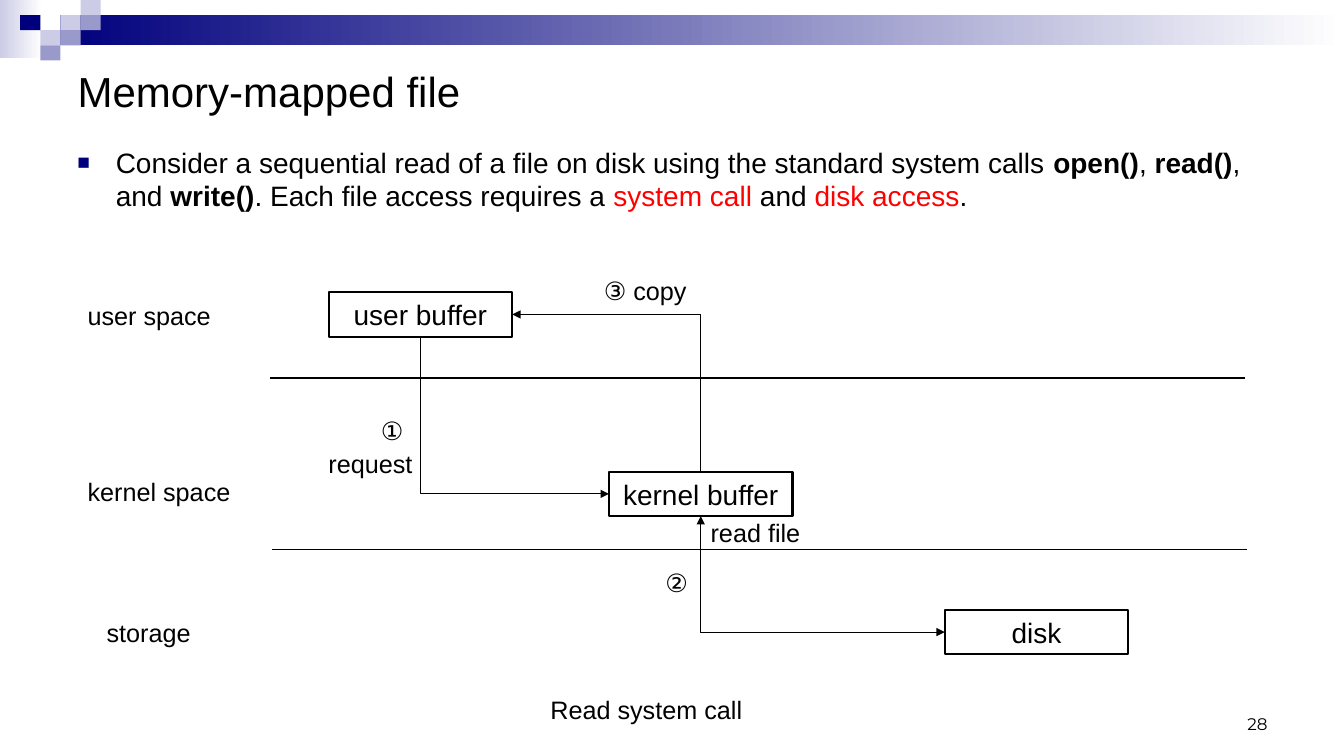
from lxml import etree
from pptx import Presentation
from pptx.dml.color import RGBColor
from pptx.enum.shapes import MSO_CONNECTOR, MSO_SHAPE
from pptx.enum.text import MSO_ANCHOR, PP_ALIGN
from pptx.oxml.ns import qn
from pptx.util import Inches, Pt

RECT = MSO_SHAPE.RECTANGLE
STRAIGHT, ELBOW = MSO_CONNECTOR.STRAIGHT, MSO_CONNECTOR.ELBOW
LEFT, CENTER, RIGHT = PP_ALIGN.LEFT, PP_ALIGN.CENTER, PP_ALIGN.RIGHT
TOP, MIDDLE, BOTTOM = MSO_ANCHOR.TOP, MSO_ANCHOR.MIDDLE, MSO_ANCHOR.BOTTOM
SIDE_TOP, SIDE_LEFT, SIDE_BOTTOM, SIDE_RIGHT = range(4)
BLACK, WHITE, NAVY, RED = "000000", "FFFFFF", "00007D", "FF0000"
PALE, LILAC = "CCCCE6", "9999CC"


def rgb(value):
    """Turn a hex string into a colour."""
    return RGBColor.from_string(value)


def sub(parent, tag, **attrs):
    """Append a DrawingML element with the given attributes."""
    return etree.SubElement(parent, qn(tag), attrs)


def add_run(p, text, size=18, color=BLACK, bold=False, font="Arial"):
    """Add a formatted run to a paragraph."""
    r = p.add_run()
    r.text = text
    r.font.size, r.font.bold, r.font.name = Pt(size), bold, font
    r.font.color.rgb = rgb(color)


class Deck:
    """Hold the slide and draw its elements in one style."""

    def __init__(self, prs):
        """Add a title-only slide with a white background."""
        self.s = prs.slides.add_slide(prs.slide_layouts[5])
        fill = self.s.background.fill
        fill.solid()
        fill.fore_color.rgb = rgb(WHITE)

    def title(self, text, x, y, w, h):
        """Place and format the title placeholder."""
        sp = self.s.shapes.title
        sp.left, sp.top, sp.width, sp.height = map(Inches, (x, y, w, h))
        tf = sp.text_frame
        tf.vertical_anchor = MIDDLE
        tf.paragraphs[0].alignment = LEFT
        add_run(tf.paragraphs[0], text, size=30)

    def block(self, x, y, w, h, *colors):
        """Draw a decorative block, solid or with a gradient."""
        sp = self.s.shapes.add_shape(RECT, *map(Inches, (x, y, w, h)))
        sp.shadow.inherit = False
        sp.line.fill.background()
        if len(colors) == 1:
            sp.fill.solid()
            sp.fill.fore_color.rgb = rgb(colors[0])
            return
        sp.fill.gradient()
        sp.fill.gradient_angle = 0
        for stop, color in zip(sp.fill.gradient_stops, colors):
            stop.color.rgb = rgb(color)

    def text(self, text, x, y, w, h=0.4, wrap=False, align=LEFT, anchor=TOP, **fmt):
        """Add a text box with one paragraph, which is returned."""
        tf = self.s.shapes.add_textbox(*map(Inches, (x, y, w, h))).text_frame
        tf.word_wrap, tf.vertical_anchor = wrap, anchor
        p = tf.paragraphs[0]
        p.alignment = align
        if text:
            add_run(p, text, **fmt)
        return p

    def bullet(self, runs, x, y, w, h):
        """Add a bulleted paragraph made of (text, format) runs."""
        p = self.text("", x, y, w, h, wrap=True)
        ppr = p._p.get_or_add_pPr()
        ppr.set("marL", str(Inches(0.38)))
        ppr.set("indent", str(Inches(-0.38)))
        sub(sub(ppr, "a:buClr"), "a:srgbClr", val=NAVY)
        sub(ppr, "a:buSzPct", val="75000")
        sub(ppr, "a:buFont", typeface="Arial")
        sub(ppr, "a:buChar", char="■")
        for text, fmt in runs:
            add_run(p, text, size=20, **fmt)

    def box(self, text, x, y, w=1.82, h=0.44):
        """Draw an outlined box with centred text."""
        sp = self.s.shapes.add_shape(RECT, *map(Inches, (x, y, w, h)))
        sp.shadow.inherit = False
        sp.fill.background()
        sp.line.color.rgb, sp.line.width = rgb(BLACK), Pt(1.5)
        tf = sp.text_frame
        tf.word_wrap, tf.vertical_anchor = True, MIDDLE
        tf.paragraphs[0].alignment = CENTER
        add_run(tf.paragraphs[0], text, size=20)
        return sp

    def line(self, x1, y1, x2, y2, kind=STRAIGHT):
        """Draw a thin black connector."""
        c = self.s.shapes.add_connector(kind, *map(Inches, (x1, y1, x2, y2)))
        c.line.color.rgb, c.line.width = rgb(BLACK), Pt(0.75)
        sub(c._element.spPr, "a:effectLst")
        return c

    def elbow(self, start, start_side, end, end_side, both=False):
        """Join two boxes by an arrow that leaves vertically and turns once."""
        c = self.line(0, 0, 1, 1, ELBOW)
        c.begin_connect(start, start_side)
        c.end_connect(end, end_side)
        x1, y1, x2, y2 = c.begin_x, c.begin_y, c.end_x, c.end_y
        c.width, c.height = abs(y2 - y1), abs(x2 - x1)
        c.left, c.top = (x1 + x2 - c.width) // 2, (y1 + y2 - c.height) // 2
        xfrm = c._element.spPr.find(qn("a:xfrm"))
        down = y2 > y1
        xfrm.set("rot", str(270 * 60000))
        xfrm.set("flipH", str(int(down)))
        xfrm.set("flipV", str(int(not down)))
        c._element.spPr.find(qn("a:prstGeom")).set("prst", "bentConnector2")
        ln = c.line._get_or_add_ln()
        if both:
            sub(ln, "a:headEnd", type="triangle")
        sub(ln, "a:tailEnd", type="triangle")


def main():
    """Build the slide and save it."""
    prs = Presentation()
    prs.slide_width, prs.slide_height = Inches(13.33), Inches(7.5)
    deck = Deck(prs)

    deck.block(0, 0, 0.42, 0.58, PALE, WHITE)
    deck.block(0.6, 0.15, 12.73, 0.3, NAVY, WHITE)
    tiles = [(3, 1, PALE), (4, 0, PALE), (4, 1, LILAC), (2, 2, PALE),
             (1, 1, NAVY), (3, 2, LILAC), (2, 3, LILAC)]
    for col, row, color in tiles:
        deck.block(0.2 * col, 0.15 * row, 0.2, 0.15, color)

    deck.title("Memory-mapped file", 0.67, 0.5, 12, 0.81)
    bold, red = {"bold": True}, {"color": RED}
    deck.bullet([
        ("Consider a sequential read of a file on disk using the standard system calls ", {}),
        ("open()", bold), (", ", {}), ("read()", bold), (", and ", {}), ("write()", bold),
        (". Each file access requires a ", {}), ("system call ", red), ("and ", {}),
        ("disk access", red), (".", {}),
    ], 0.67, 1.39, 12, 1)

    for x, y in [(2.68, 3.75), (2.7, 5.45)]:
        deck.line(x, y, x + 9.67, y)

    user = deck.box("user buffer", 3.26, 2.9)
    kernel = deck.box("kernel buffer", 6.04, 4.68)
    disk = deck.box("disk", 9.37, 6.05)
    deck.elbow(user, SIDE_BOTTOM, kernel, SIDE_LEFT)
    deck.elbow(kernel, SIDE_BOTTOM, disk, SIDE_LEFT, both=True)
    deck.elbow(kernel, SIDE_TOP, user, SIDE_RIGHT)

    labels = [
        ("user space", 0.77, 2.93, 1.44), ("kernel space", 0.77, 4.68, 1.63),
        ("storage", 0.96, 6.08, 1.04), ("①", 3.68, 4.07, 0.45),
        ("request", 3.16, 4.4, 1.04), ("②", 6.5, 5.58, 0.45),
        ("read file", 6.95, 5.08, 1.1), ("③ copy", 5.89, 2.68, 1.06),
        ("Read system call", 5.36, 6.84, 2.12),
    ]
    for text, x, y, w in labels:
        deck.text(text, x, y, w)
    deck.text("28", 9.56, 6.83, 3.11, 0.5, wrap=True, align=RIGHT, anchor=BOTTOM,
              size=12, font="Montserrat")

    prs.save("out.pptx")


if __name__ == "__main__":
    main()
